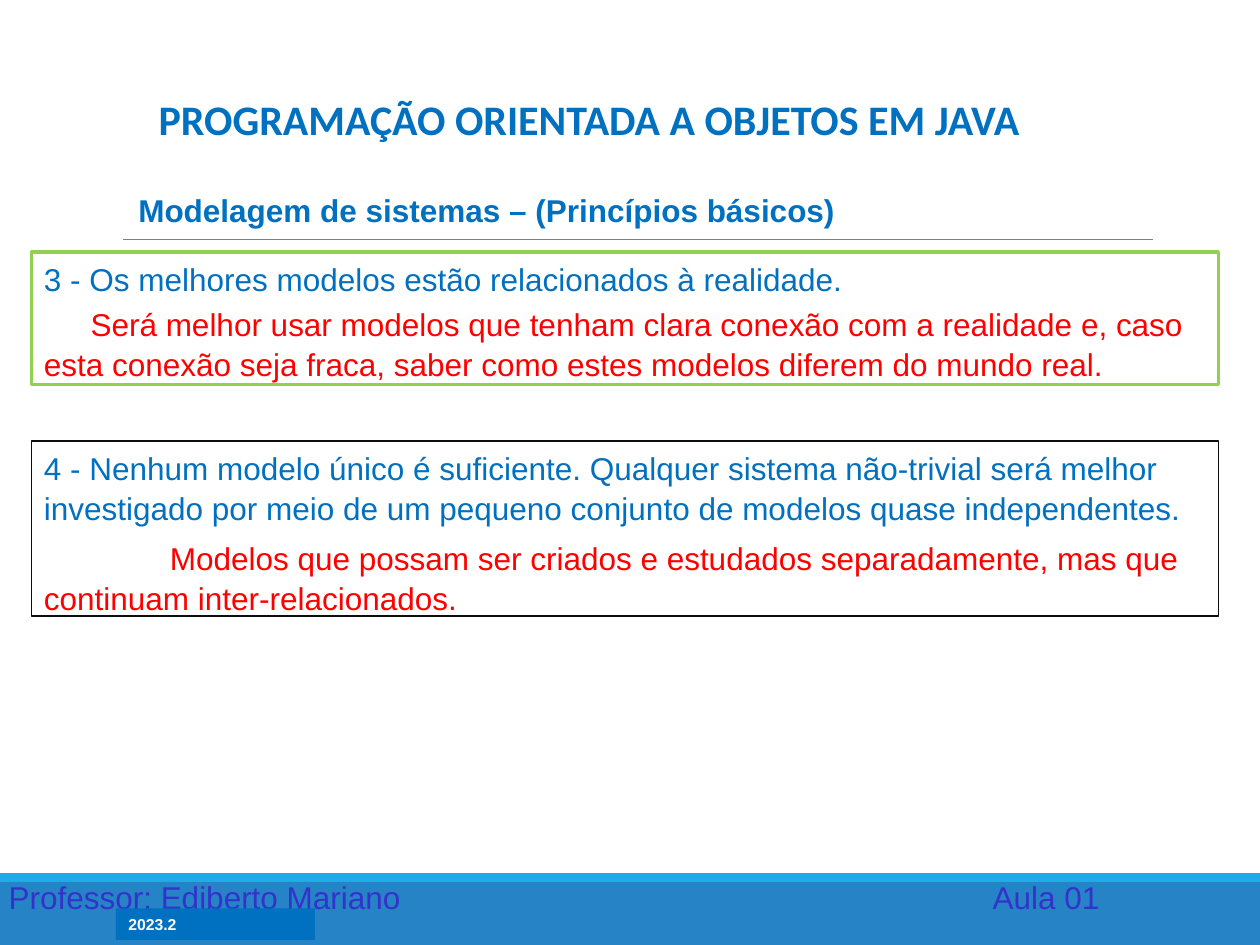
from pptx import Presentation
from pptx.dml.color import RGBColor as RGB
from pptx.enum.shapes import MSO_CONNECTOR as CONN, MSO_SHAPE as SHAPE
from pptx.enum.text import MSO_ANCHOR as ANCHOR, PP_ALIGN as ALIGN
from pptx.oxml.ns import qn
from pptx.util import Inches, Pt
from lxml.etree import SubElement

THEME = {
    "blue": "0070C0", "red": "FF0000", "white": "FFFFFF", "indigo": "3333CC",
    "green": "92D050", "black": "0D0D0D", "gray": "7F7F7F",
    "band": "2683C6", "stripe": "1CADE4",
    "body": "Arial", "heading": "Calibri",
    "title_size": 24, "text_size": 18, "small_size": 9,
}

TITLE = "PROGRAMAÇÃO ORIENTADA A OBJETOS EM JAVA"
SUBTITLE = "Modelagem de sistemas – (Princípios básicos)"
FOOTER = "Professor: Ediberto Mariano\tAula 01"
TERM = "2023.2"
FOOTER_TAB = 7.81

# top, height, border colour, border width, principle, explanation, first-line indent, space before
PRINCIPLES = [
    (2, 1.05, "green", 1.75,
     "3 - Os melhores modelos estão relacionados à realidade.",
     "Será melhor usar modelos que tenham clara conexão com a realidade e, caso esta "
     "conexão seja fraca, saber como estes modelos diferem do mundo real.", 0.37, 3.2),
    (3.5, 1.39, "black", 0,
     "4 - Nenhum modelo único é suficiente. Qualquer sistema não-trivial será melhor "
     "investigado por meio de um pequeno conjunto de modelos quase independentes.",
     "Modelos que possam ser criados e estudados separadamente, mas que continuam "
     "inter-relacionados.", 1, 6),
]


def color(name):
    return RGB.from_string(THEME[name])


def add_rect(s, box, fill=None, line=None, width=0):
    sp = s.shapes.add_shape(SHAPE.RECTANGLE, *map(Inches, box))
    sp.shadow.inherit = False
    if fill:
        sp.fill.solid()
        sp.fill.fore_color.rgb = color(fill)
    else:
        sp.fill.background()
    if line:
        sp.line.color.rgb = color(line)
        sp.line.width = Pt(width)
    else:
        sp.line.fill.background()
    return sp


def write(p, text, ink, size="text_size", font="body", bold=False, align=ALIGN.LEFT):
    p.text = text
    p.alignment = align
    for r in p.runs:
        r.font.name = THEME[font]
        r.font.size = Pt(THEME[size])
        r.font.bold = bold
        r.font.color.rgb = color(ink)


def add_text(s, box, text, ink, anchor=ANCHOR.TOP, **style):
    tf = s.shapes.add_textbox(*map(Inches, box)).text_frame
    tf.word_wrap = True
    tf.vertical_anchor = anchor
    write(tf.paragraphs[0], text, ink, **style)
    return tf.paragraphs[0]


def add_tab_stop(p, position):
    tabs = SubElement(p._p.get_or_add_pPr(), qn("a:tabLst"))
    SubElement(tabs, qn("a:tab"), pos=str(Inches(position)), algn="l")


def add_principle(s, top, height, line, width, principle, explanation, indent, gap):
    tf = add_rect(s, (0.25, top, 9.42, height), line=line, width=width).text_frame
    tf.word_wrap = True
    tf.vertical_anchor = ANCHOR.TOP
    first, second = tf.paragraphs[0], tf.add_paragraph()
    write(first, principle, "blue")
    write(second, explanation, "red")
    first.line_spacing = second.line_spacing = 1.05
    second.space_before = Pt(gap)
    second._p.get_or_add_pPr().set("indent", str(Inches(indent)))


def main():
    prs = Presentation()
    prs.slide_width, prs.slide_height = Inches(10), Inches(7.5)
    s = prs.slides.add_slide(prs.slide_layouts[6])

    add_rect(s, (0, 6.93, 10, 0.57), fill="band")
    add_rect(s, (0, 6.93, 10, 0.07), fill="stripe")
    rule = s.shapes.add_connector(
        CONN.STRAIGHT, Inches(0.98), Inches(1.9), Inches(9.15), Inches(1.9))
    rule.line.color.rgb = color("gray")
    rule.line.width = Pt(0.5)
    SubElement(rule._element.spPr, qn("a:effectLst"))

    footer = add_text(s, (-0.03, 6.92, 9, 0.4), FOOTER, "indigo")
    add_tab_stop(footer, FOOTER_TAB)
    tf = add_rect(s, (0.92, 7.21, 1.58, 0.25), fill="blue").text_frame
    tf.vertical_anchor = ANCHOR.TOP
    write(tf.paragraphs[0], TERM, "white", size="small_size", bold=True)

    add_text(s, (1.03, 0.67, 7.29, 0.52), TITLE, "blue", ANCHOR.BOTTOM,
             size="title_size", font="heading", bold=True, align=ALIGN.CENTER)
    add_text(s, (1, 1.47, 8.67, 0.4), SUBTITLE, "blue", bold=True)
    for principle in PRINCIPLES:
        add_principle(s, *principle)

    prs.save("out.pptx")


if __name__ == "__main__":
    main()
